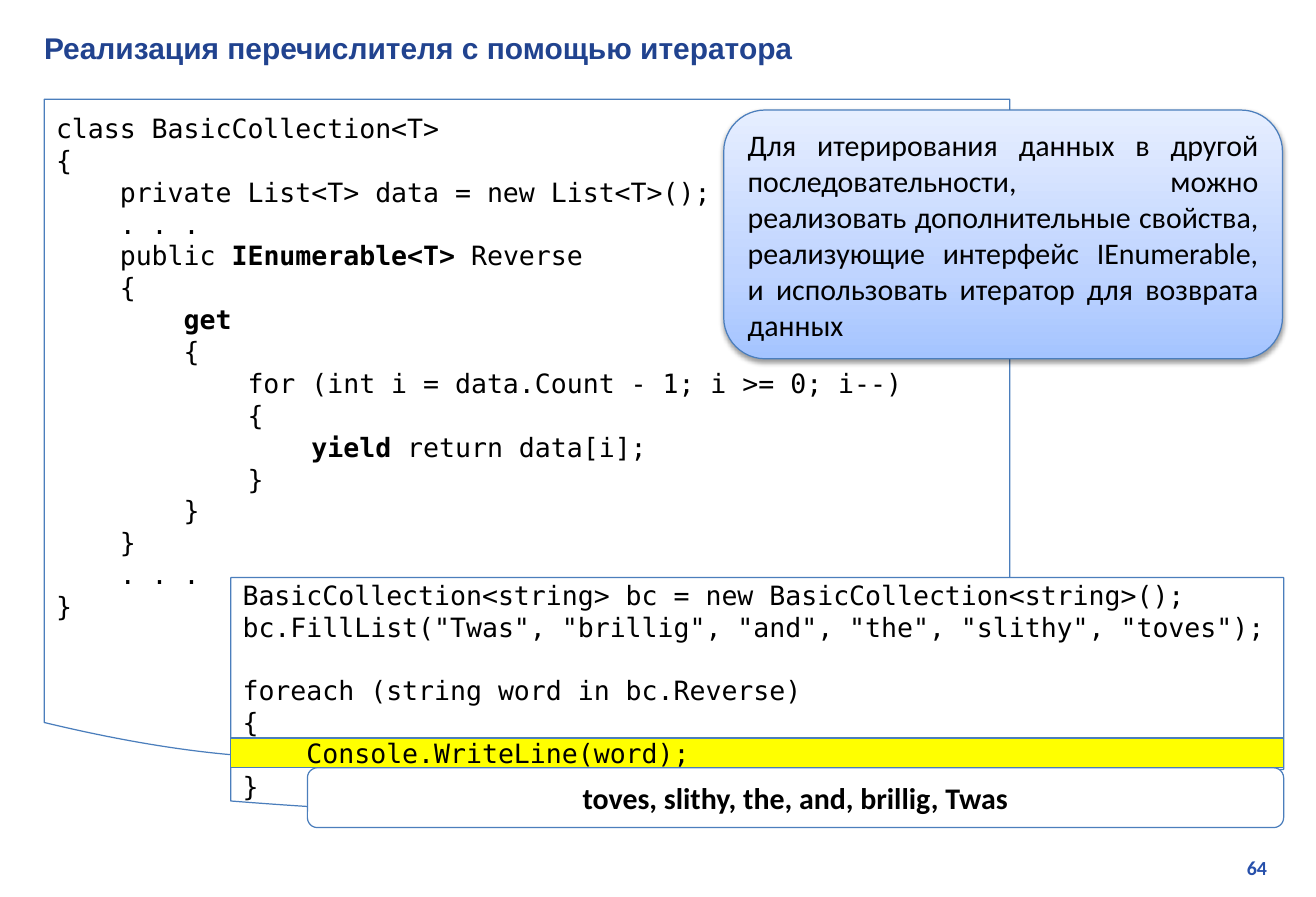
from lxml.etree import SubElement
from pptx import Presentation
from pptx.dml.color import RGBColor
from pptx.enum.shapes import MSO_SHAPE
from pptx.enum.text import MSO_ANCHOR, PP_ALIGN
from pptx.oxml.ns import qn
from pptx.util import Emu, Pt
from copy import deepcopy

EMU_PER_PX = 9144
CODE = {"name": "DejaVu Sans Mono", "size": Pt(16)}
BODY = {"name": "Calibri", "size": Pt(18)}
GRADIENT = [(0, "A4C4FF"), (0.35, "BFD4FF"), (1, "E6EEFF")]

COLLECTION_CODE = """class BasicCollection<T>
{
    private List<T> data = new List<T>();
    . . .
    public **IEnumerable<T>** Reverse
    {
        **get**
        {
            for (int i = data.Count - 1; i >= 0; i--)
            {
                **yield** return data[i];
            }
        }
    }
    . . .
}"""
USAGE_CODE = """BasicCollection<string> bc = new BasicCollection<string>();
bc.FillList("Twas", "brillig", "and", "the", "slithy", "toves");
foreach (string word in bc.Reverse)
{
    Console.WriteLine(word);
}"""
EXPLANATION = (
    "Для итерирования данных в другой последовательности, можно реализовать "
    "дополнительные свойства, реализующие интерфейс IEnumerable, "
    "и использовать итератор для возврата данных"
)


def px(*lengths):
    return [Emu(length * EMU_PER_PX) for length in lengths]


def rgb(value):
    return RGBColor.from_string(value)


def apply(target, values):
    for name, value in values.items():
        setattr(target, name, value)


def write(frame, text, font, color="000000", align=PP_ALIGN.LEFT, anchor=MSO_ANCHOR.MIDDLE):
    apply(frame, {"word_wrap": True, "vertical_anchor": anchor})
    for index, line in enumerate(text.split("\n")):
        paragraph = frame.add_paragraph() if index else frame.paragraphs[0]
        paragraph.alignment = align
        for part, content in enumerate(line.split("**")):
            if content:
                run = paragraph.add_run()
                run.text = content
                apply(run.font, {"bold": part % 2 == 1, **font})
                run.font.color.rgb = rgb(color)


def add_label(slide, box, text, font, color, align=PP_ALIGN.LEFT):
    label = slide.shapes.add_textbox(*px(*box))
    write(label.text_frame, text, font, color, align)


def add_panel(slide, preset, box, text, font, fill="FFFFFF", **layout):
    panel = slide.shapes.add_shape(preset, *px(*box))
    panel.shadow.inherit = False
    panel.fill.solid()
    panel.fill.fore_color.rgb = rgb(fill)
    panel.line.color.rgb = rgb("4B7EBC")
    panel.line.width = Pt(0.75)
    write(panel.text_frame, text, font, **layout)
    return panel


def add_gradient(panel, stops, angle):
    panel.fill.gradient()
    panel.fill.gradient_angle = angle
    stop_list = panel.element.spPr.find(qn("a:gradFill")).find(qn("a:gsLst"))
    stop_list.insert(1, deepcopy(stop_list[0]))
    for stop, (position, color) in zip(panel.fill.gradient_stops, stops):
        stop.position = position
        stop.color.rgb = rgb(color)


def add_shadow(panel):
    effects = panel.element.spPr.find(qn("a:effectLst"))
    shadow = SubElement(effects, qn("a:outerShdw"), blurRad=str(Pt(3.1)),
                        dist=str(Pt(1.6)), dir="5400000", rotWithShape="0")
    color = SubElement(shadow, qn("a:srgbClr"), val="000000")
    SubElement(color, qn("a:alpha"), val="38000")


def main():
    deck = Presentation()
    deck.slide_width, deck.slide_height = px(1100, 750)
    slide = deck.slides.add_slide(deck.slide_layouts[6])

    add_label(slide, (836, 710, 233, 30), "64",
              {"name": "Calibri", "size": Pt(12), "bold": True}, "2750AB", PP_ALIGN.RIGHT)
    add_label(slide, (27, 20, 1050, 40), "Реализация перечислителя с помощью итератора",
              {"name": "Arial", "size": Pt(18), "bold": True}, "21438F")

    add_panel(slide, MSO_SHAPE.FLOWCHART_DOCUMENT, (37, 83, 807, 558), COLLECTION_CODE, CODE)
    usage = add_panel(slide, MSO_SHAPE.FLOWCHART_DOCUMENT, (193, 483, 880, 200),
                      USAGE_CODE, CODE, anchor=MSO_ANCHOR.TOP)
    usage.text_frame.margin_top, usage.text_frame.margin_bottom = px(1, 0)
    usage.text_frame.paragraphs[2].space_before = Pt(19)

    explanation = add_panel(slide, MSO_SHAPE.ROUNDED_RECTANGLE, (605, 92, 467, 208),
                            EXPLANATION, BODY, align=PP_ALIGN.JUSTIFY)
    explanation.text_frame.paragraphs[0].space_after = Pt(10)
    add_gradient(explanation, GRADIENT, 90)
    add_shadow(explanation)

    add_panel(slide, MSO_SHAPE.RECTANGLE, (193, 617, 880, 25),
              "    Console.WriteLine(word);", CODE, "FFFF00")
    add_panel(slide, MSO_SHAPE.ROUNDED_RECTANGLE, (257, 642, 816, 50),
              "toves, slithy, the, and, brillig, Twas", {**BODY, "bold": True},
              align=PP_ALIGN.CENTER)
    deck.save("out.pptx")


if __name__ == "__main__":
    main()
